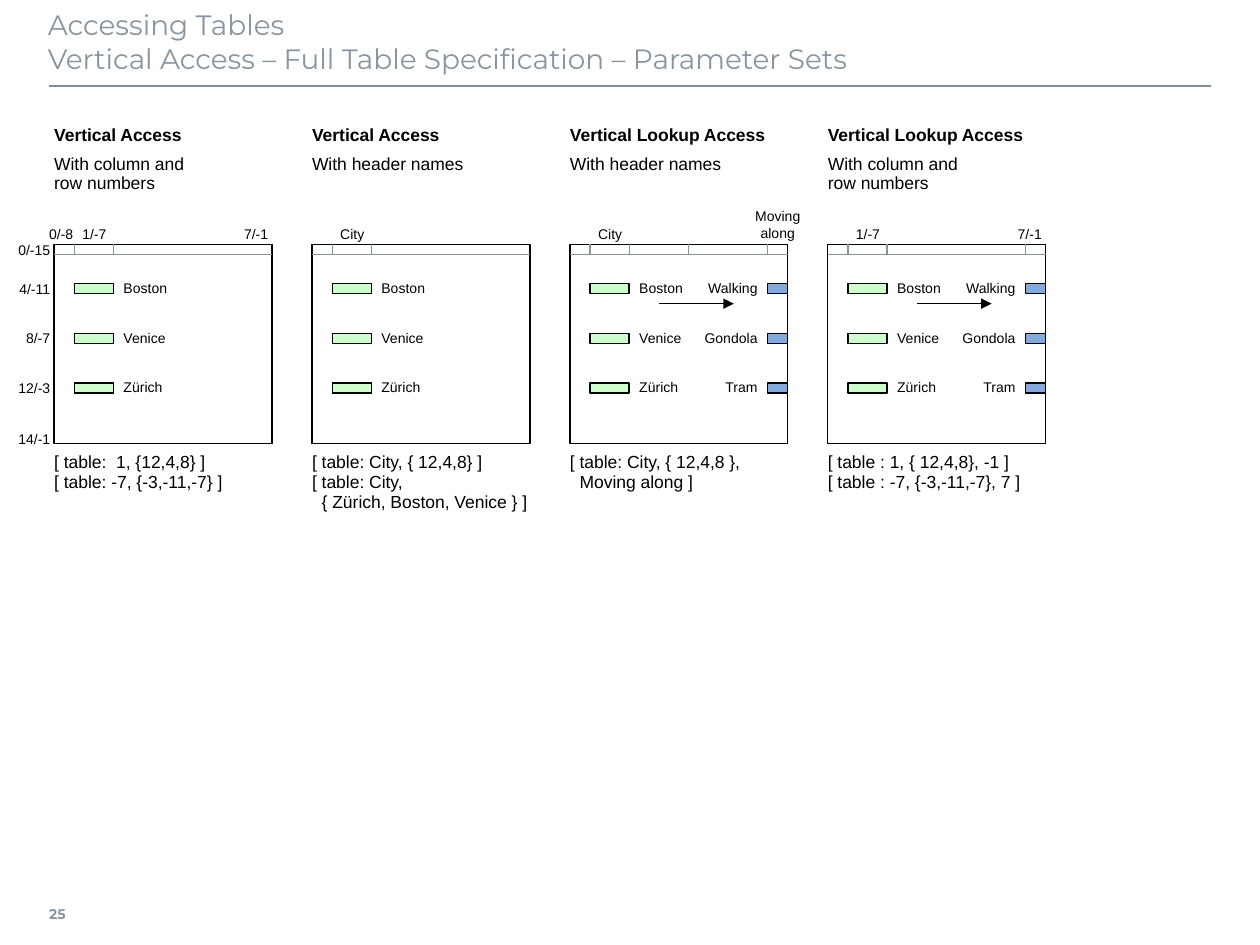
from dataclasses import dataclass

from lxml.etree import SubElement
from pptx import Presentation
from pptx.dml.color import RGBColor
from pptx.enum.shapes import MSO_CONNECTOR, MSO_SHAPE
from pptx.enum.text import MSO_ANCHOR, MSO_AUTO_SIZE, PP_ALIGN
from pptx.oxml.ns import qn
from pptx.slide import Slide
from pptx.text.text import TextFrame
from pptx.util import Inches, Pt


@dataclass(frozen=True)
class Theme:
    title: str = "8996A0"
    title_rule: str = "808D97"
    grid: str = "85939D"
    ink: str = "000000"
    key_fill: str = "CCFFCC"
    result_fill: str = "83AADE"
    title_font: str = "Montserrat"
    body_font: str = "Arial"
    title_size: int = 16
    body_size: int = 10
    label_size: int = 8
    thin: float = 0.75


@dataclass(frozen=True)
class ColumnLabel:
    lines: tuple[str, ...]
    offset: float
    align: PP_ALIGN = PP_ALIGN.CENTER
    top: float = 1.78


@dataclass(frozen=True)
class Panel:
    heading: str
    subtitle: tuple[str, ...]
    code: tuple[str, ...]
    column_labels: tuple[ColumnLabel, ...]
    extra_ticks: tuple[float, ...] = ()
    is_lookup: bool = False


THEME = Theme()
PANEL_LEFT, PANEL_PITCH = 0.43, 6.14 / 3
TABLE_TOP, TABLE_WIDTH, TABLE_HEIGHT = 1.94, 1.73, 1.58
HEADER_BOTTOM = 2.02
MARK_HEIGHT = 0.08
KEY_LEFT, KEY_WIDTH = 0.16, 0.31
RESULT_LEFT, RESULT_WIDTH = 1.57, 0.16
ROW_TOPS = [2.25 + 0.395 * row for row in range(3)]
CITIES = ("Boston", "Venice", "Zürich")
TRANSPORTS = ("Walking", "Gondola", "Tram")
ROW_NUMBERS = ("0/-15", "4/-11", "8/-7", "12/-3", "14/-1")
NO_INSET = (0, 0, 0, 0)
LABEL_INSET = (0.04, 0.04, 0.04, 0.04)

BY_NUMBER = ("With column and", "row numbers")
BY_NAME = ("With header names",)
FIRST_COLUMN = ColumnLabel(("1/-7",), 0.24)
LAST_COLUMN = ColumnLabel(("7/-1",), 1.58, PP_ALIGN.RIGHT)
CITY_COLUMN = ColumnLabel(("City",), 0.24)

PANELS = (
    Panel("Vertical Access", BY_NUMBER,
          ("[ table:  1, {12,4,8} ]", "[ table: -7, {-3,-11,-7} ]"),
          (ColumnLabel(("0/-8",), -0.08, PP_ALIGN.LEFT), FIRST_COLUMN, LAST_COLUMN)),
    Panel("Vertical Access", BY_NAME,
          ("[ table: City, { 12,4,8} ]", "[ table: City,",
           "  { Zürich, Boston, Venice } ]"),
          (CITY_COLUMN,)),
    Panel("Vertical Lookup Access", BY_NAME,
          ("[ table: City, { 12,4,8 },", "  Moving along ]"),
          (CITY_COLUMN, ColumnLabel(("Moving", "along"), 1.57, top=1.7)),
          extra_ticks=(0.94, RESULT_LEFT), is_lookup=True),
    Panel("Vertical Lookup Access", BY_NUMBER,
          ("[ table : 1, { 12,4,8}, -1 ]", "[ table : -7, {-3,-11,-7}, 7 ]"),
          (FIRST_COLUMN, LAST_COLUMN),
          extra_ticks=(RESULT_LEFT,), is_lookup=True),
)


def set_frame(frame: TextFrame, insets: tuple[float, ...], anchor: MSO_ANCHOR,
              wrap: bool = False) -> None:
    frame.auto_size = MSO_AUTO_SIZE.NONE
    frame.word_wrap = wrap
    frame.vertical_anchor = anchor
    (frame.margin_left, frame.margin_top,
     frame.margin_right, frame.margin_bottom) = map(Inches, insets)


def add_run(paragraph, text: str, size: float, color: str, font: str,
            bold: bool = False) -> None:
    run = paragraph.add_run()
    run.text = text
    run.font.size = Pt(size)
    run.font.name = font
    run.font.bold = bold
    run.font.color.rgb = RGBColor.from_string(color)


def add_text(slide: Slide, lines: tuple[str, ...], left: float, top: float,
             width: float, height: float, size: float = THEME.body_size,
             color: str = THEME.ink, font: str = THEME.body_font,
             bold: bool = False, align: PP_ALIGN = PP_ALIGN.LEFT,
             anchor: MSO_ANCHOR = MSO_ANCHOR.MIDDLE,
             insets: tuple[float, ...] = NO_INSET, spacing: float = 1.0) -> None:
    box = slide.shapes.add_textbox(*map(Inches, (left, top, width, height)))
    frame = box.text_frame
    set_frame(frame, insets, anchor)
    for index, line in enumerate(lines):
        paragraph = frame.add_paragraph() if index else frame.paragraphs[0]
        paragraph.alignment = align
        paragraph.line_spacing = spacing
        add_run(paragraph, line, size, color, font, bold)


def add_line(slide: Slide, x1: float, y1: float, x2: float, y2: float,
             color: str = THEME.grid, width: float = THEME.thin,
             arrow: bool = False) -> None:
    line = slide.shapes.add_connector(
        MSO_CONNECTOR.STRAIGHT, *map(Inches, (x1, y1, x2, y2)))
    line.line.color.rgb = RGBColor.from_string(color)
    line.line.width = Pt(width)
    if arrow:
        SubElement(line.line._get_or_add_ln(), qn("a:tailEnd"), type="triangle")
    SubElement(line._element.spPr, qn("a:effectLst"))


def add_box(slide: Slide, left: float, top: float, width: float, height: float,
            fill: str | None = None) -> None:
    box = slide.shapes.add_shape(
        MSO_SHAPE.RECTANGLE, *map(Inches, (left, top, width, height)))
    box.shadow.inherit = False
    box.line.color.rgb = RGBColor.from_string(THEME.ink)
    box.line.width = Pt(THEME.thin)
    if fill:
        box.fill.solid()
        box.fill.fore_color.rgb = RGBColor.from_string(fill)
    else:
        box.fill.background()


def add_rows(slide: Slide, left: float, names: tuple[str, ...], mark_left: float,
             mark_width: float, fill: str, name_left: float, align: PP_ALIGN) -> None:
    """Draw one marked cell with its value on each selected row."""
    for top, name in zip(ROW_TOPS, names):
        add_box(slide, left + mark_left, top, mark_width, MARK_HEIGHT, fill)
        add_text(slide, (name,), left + name_left, top - 0.08, 0.39, 0.24,
                 THEME.label_size, align=align, spacing=0.95)


def add_panel(slide: Slide, panel: Panel, left: float) -> None:
    add_text(slide, (panel.heading,), left, 0.99, 1.18, 0.16, bold=True)
    add_text(slide, panel.subtitle, left, 1.23, 1.18, 0.39,
             anchor=MSO_ANCHOR.TOP, spacing=0.9)
    add_text(slide, panel.code, left, 3.59, TABLE_WIDTH, 0.55,
             anchor=MSO_ANCHOR.TOP, spacing=0.95)
    add_box(slide, left, TABLE_TOP, TABLE_WIDTH, TABLE_HEIGHT)
    add_line(slide, left, HEADER_BOTTOM, left + TABLE_WIDTH, HEADER_BOTTOM)
    for tick in (KEY_LEFT, KEY_LEFT + KEY_WIDTH, *panel.extra_ticks):
        add_line(slide, left + tick, TABLE_TOP, left + tick, HEADER_BOTTOM)
    for label in panel.column_labels:
        add_text(slide, label.lines, left + label.offset, label.top, 0.16, 0.16,
                 THEME.label_size, align=label.align, insets=LABEL_INSET)
    add_rows(slide, left, CITIES, KEY_LEFT, KEY_WIDTH, THEME.key_fill,
             0.55, PP_ALIGN.LEFT)
    if panel.is_lookup:
        add_rows(slide, left, TRANSPORTS, RESULT_LEFT, RESULT_WIDTH,
                 THEME.result_fill, 1.1, PP_ALIGN.RIGHT)
        add_line(slide, left + 0.71, 2.41, left + 1.3, 2.41, THEME.ink, arrow=True)


def add_title(slide: Slide) -> None:
    title = slide.shapes.title
    title.left, title.top, title.width, title.height = map(
        Inches, (0.38, 0.01, 9.21, 0.63))
    set_frame(title.text_frame, (0, 0.05, 0.1, 0.05), MSO_ANCHOR.TOP, wrap=True)
    paragraph = title.text_frame.paragraphs[0]
    paragraph.alignment = PP_ALIGN.LEFT
    style = (THEME.title_size, THEME.title, THEME.title_font)
    add_run(paragraph, "Accessing Tables", *style)
    paragraph.add_line_break()
    add_run(paragraph, "Vertical Access – Full Table Specification – Parameter Sets", *style)


def main() -> None:
    deck = Presentation()
    deck.slide_width, deck.slide_height = Inches(10), Inches(7.5)
    slide = deck.slides.add_slide(deck.slide_layouts[5])
    add_title(slide)
    add_line(slide, 0.39, 0.68, 9.61, 0.68, THEME.title_rule, 1)
    add_text(slide, ("25",), 0.39, 7.06, 0.35, 0.39, THEME.label_size, THEME.title,
             THEME.title_font, bold=True, insets=(0, 0.05, 0.08, 0.05))
    for index, panel in enumerate(PANELS):
        add_panel(slide, panel, PANEL_LEFT + index * PANEL_PITCH)
    last_row_top = TABLE_TOP + TABLE_HEIGHT - MARK_HEIGHT
    for number, top in zip(ROW_NUMBERS, (TABLE_TOP, *ROW_TOPS, last_row_top)):
        add_text(slide, (number,), 0.28, top, 0.16, MARK_HEIGHT, THEME.label_size,
                 align=PP_ALIGN.RIGHT, insets=LABEL_INSET)
    deck.save("out.pptx")


if __name__ == "__main__":
    main()
